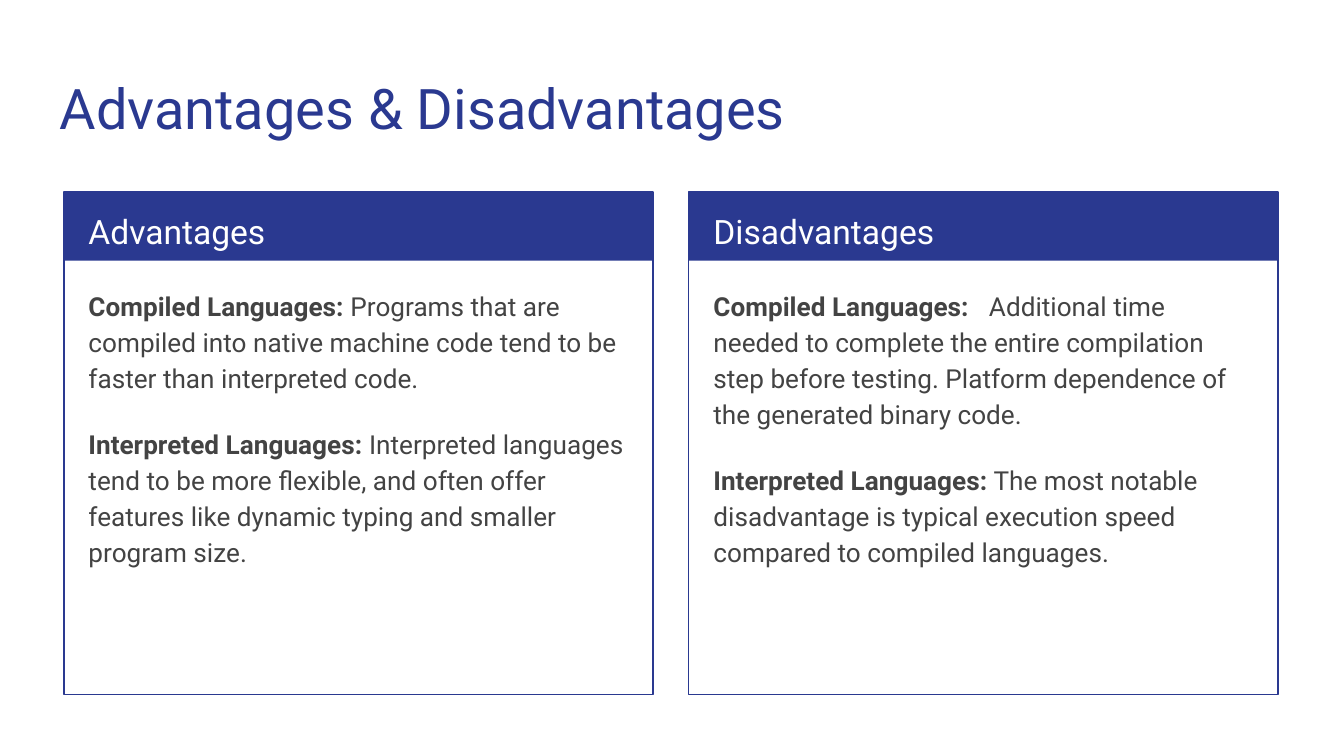
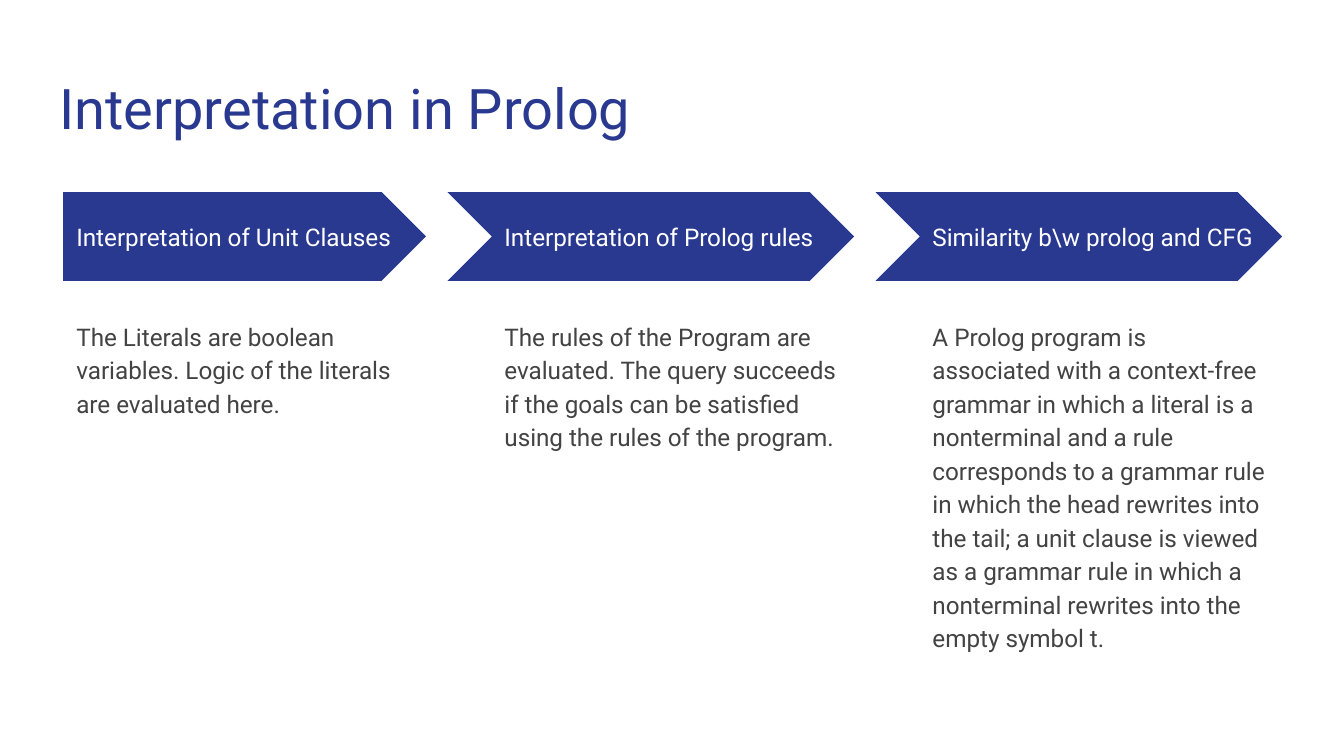
from lxml.etree import SubElement
from pptx import Presentation
from pptx.dml.color import RGBColor
from pptx.enum.shapes import MSO_SHAPE
from pptx.enum.text import MSO_ANCHOR, PP_ALIGN
from pptx.oxml.ns import qn
from pptx.util import Pt

PX = 4572
FONT = "Roboto"
COLORS = {"navy": "2A3990", "white": "FFFFFF", "ink": "434343"}
CARD_WIDTH, CARD_HEIGHT, CARD_TOP = 877, 748, 286
STEP_LEFT, STEP_PITCH, STEP_WIDTH, NOTCH = 94, 637, 540, 65
LABEL_TAB = 410

CARDS = [
    (95, "Advantages", [
        ("Compiled Languages:", " Programs that are compiled into native machine code "
         "tend to be faster than interpreted code."),
        ("Interpreted Languages:", " Interpreted languages tend to be more flexible, and "
         "often offer features like dynamic typing and smaller program size."),
    ]),
    (1025, "Disadvantages", [
        ("Compiled Languages:", "\tAdditional time needed to complete the entire "
         "compilation step before testing. Platform dependence of the generated binary code."),
        ("Interpreted Languages:", " The most notable disadvantage is typical execution "
         "speed compared to compiled languages."),
    ]),
]

STEPS = [
    ("Interpretation of Unit Clauses",
     "The Literals are boolean variables. Logic of the literals are evaluated here."),
    ("Interpretation of Prolog rules",
     "The rules of the Program are evaluated. The query succeeds if the goals can be "
     "satisfied using the rules of the program."),
    ("Similarity b\\w prolog and CFG",
     "A Prolog program is associated with a context-free grammar in which a literal is a "
     "nonterminal and a rule corresponds to a grammar rule in which the head rewrites into "
     "the tail; a unit clause is viewed as a grammar rule in which a nonterminal rewrites "
     "into the empty symbol t."),
]


def scale(*lengths):
    """Turn px lengths into EMU."""
    return [length * PX for length in lengths]


def color(name):
    """Look up a colour by name."""
    return RGBColor.from_string(COLORS[name])


def add_tab_stop(para, position):
    """Give a paragraph one left tab stop."""
    tabs = SubElement(para._p.get_or_add_pPr(), qn("a:tabLst"))
    SubElement(tabs, qn("a:tab"), pos=str(position * PX), algn="l")


def add_text(page, area, paragraphs, size, ink, spacing=1.0, anchor=MSO_ANCHOR.TOP):
    """Add a text box whose paragraphs are pairs of bold label and plain text."""
    box = page.shapes.add_textbox(*scale(*area))
    frame = box.text_frame
    frame.word_wrap = True
    frame.vertical_anchor = anchor
    frame.margin_left = frame.margin_right = frame.margin_top = frame.margin_bottom = 20 * PX
    for index, (label, text) in enumerate(paragraphs):
        para = frame.add_paragraph() if index else frame.paragraphs[0]
        para.alignment = PP_ALIGN.LEFT
        para.line_spacing = spacing
        if index:
            para.space_before = Pt(16)
        if "\t" in text:
            add_tab_stop(para, LABEL_TAB)
        para.font.name = FONT
        para.font.size = Pt(size)
        para.font.color.rgb = color(ink)
        if label:
            span = para.add_run()
            span.text = label
            span.font.bold = True
        para.add_run().text = text


def add_block(page, kind, area, fill=None, line=None):
    """Add a shape with an optional fill and an optional outline."""
    block = page.shapes.add_shape(kind, *scale(*area))
    block.shadow.inherit = False
    if fill:
        block.fill.solid()
        block.fill.fore_color.rgb = color(fill)
    else:
        block.fill.background()
    if line:
        block.line.color.rgb = color(line)
        block.line.width = Pt(0.75)
    else:
        block.line.fill.background()
    return block


def add_page(deck, title):
    """Add a blank page with the shared title."""
    page = deck.slides.add_slide(deck.slide_layouts[6])
    add_text(page, (69, 90, 1864, 132), [("", title)], 30, "navy")
    return page


def add_card(page, left, top, heading, points):
    """Draw an outlined card with a heading band and its points."""
    add_block(page, MSO_SHAPE.RECTANGLE, (left, top, CARD_WIDTH, 102), fill="navy")
    add_block(page, MSO_SHAPE.RECTANGLE, (left, top, CARD_WIDTH, CARD_HEIGHT), line="navy")
    text_left, text_width = left + 17, CARD_WIDTH - 35
    add_text(page, (text_left, top - 1, text_width, 100), [("", heading)], 18, "white", 1.15)
    add_text(page, (text_left, top + 119, text_width, 612), points, 14, "ink", 1.15)


def add_step(page, left, top, heading, text, first):
    """Draw one arrow of the process with its heading and description."""
    kind = MSO_SHAPE.PENTAGON if first else MSO_SHAPE.CHEVRON
    notch = 0 if first else NOTCH
    arrow = add_block(page, kind, (left - notch, top, STEP_WIDTH + notch, 132), fill="navy")
    arrow.adjustments[0] = 0.5
    add_text(page, (left, top + 32, STEP_WIDTH, 68), [("", heading)], 13, "white",
             anchor=MSO_ANCHOR.MIDDLE)
    add_text(page, (left, top + 167, STEP_WIDTH, 580), [("", text)], 13, "ink", 1.15)


def build_comparison(deck):
    """Build the page that compares advantages and disadvantages."""
    page = add_page(deck, "Advantages & Disadvantages")
    for left, heading, points in CARDS:
        add_card(page, left, CARD_TOP, heading, points)


def build_process(deck):
    """Build the page that shows the steps of interpretation."""
    page = add_page(deck, "Interpretation in Prolog")
    for index, (heading, text) in enumerate(STEPS):
        add_step(page, STEP_LEFT + index * STEP_PITCH, CARD_TOP, heading, text, index == 0)


def main():
    """Build and save the deck."""
    deck = Presentation()
    deck.slide_width, deck.slide_height = scale(2000, 1125)
    build_comparison(deck)
    build_process(deck)
    deck.save("out.pptx")


if __name__ == "__main__":
    main()
